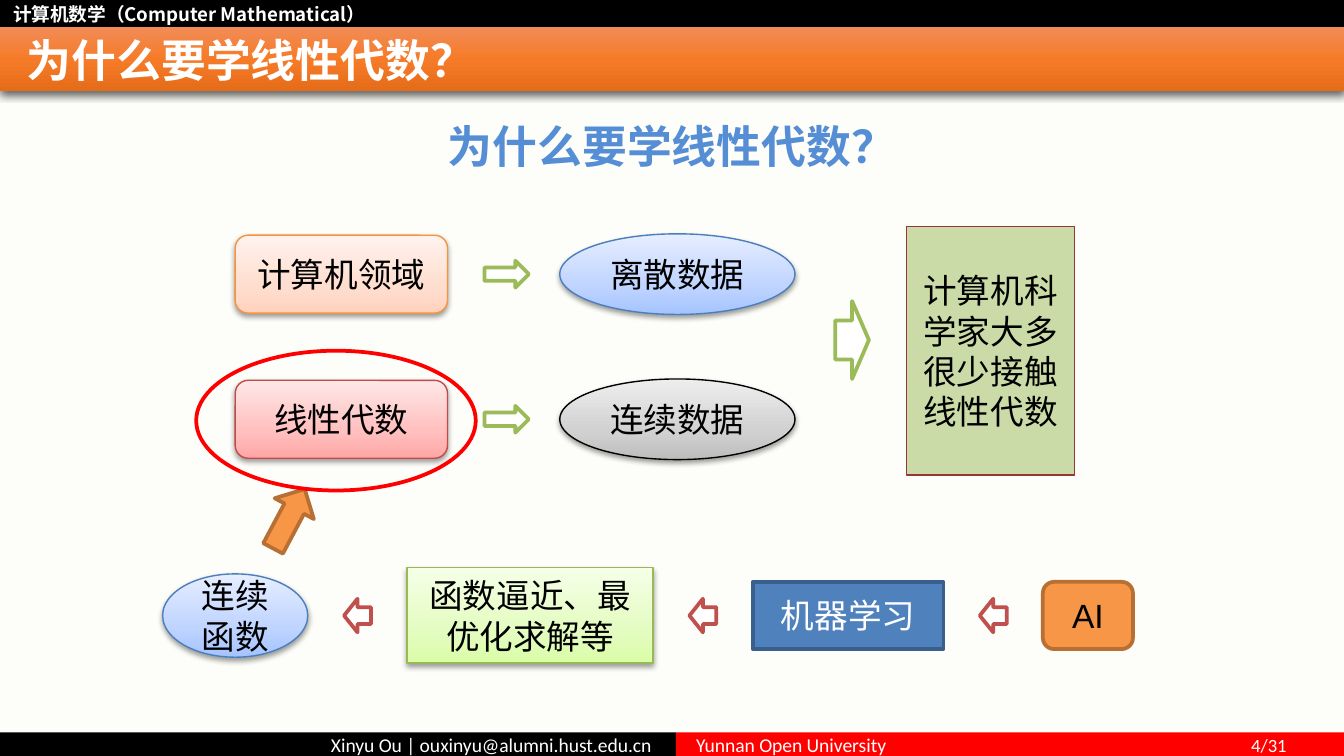
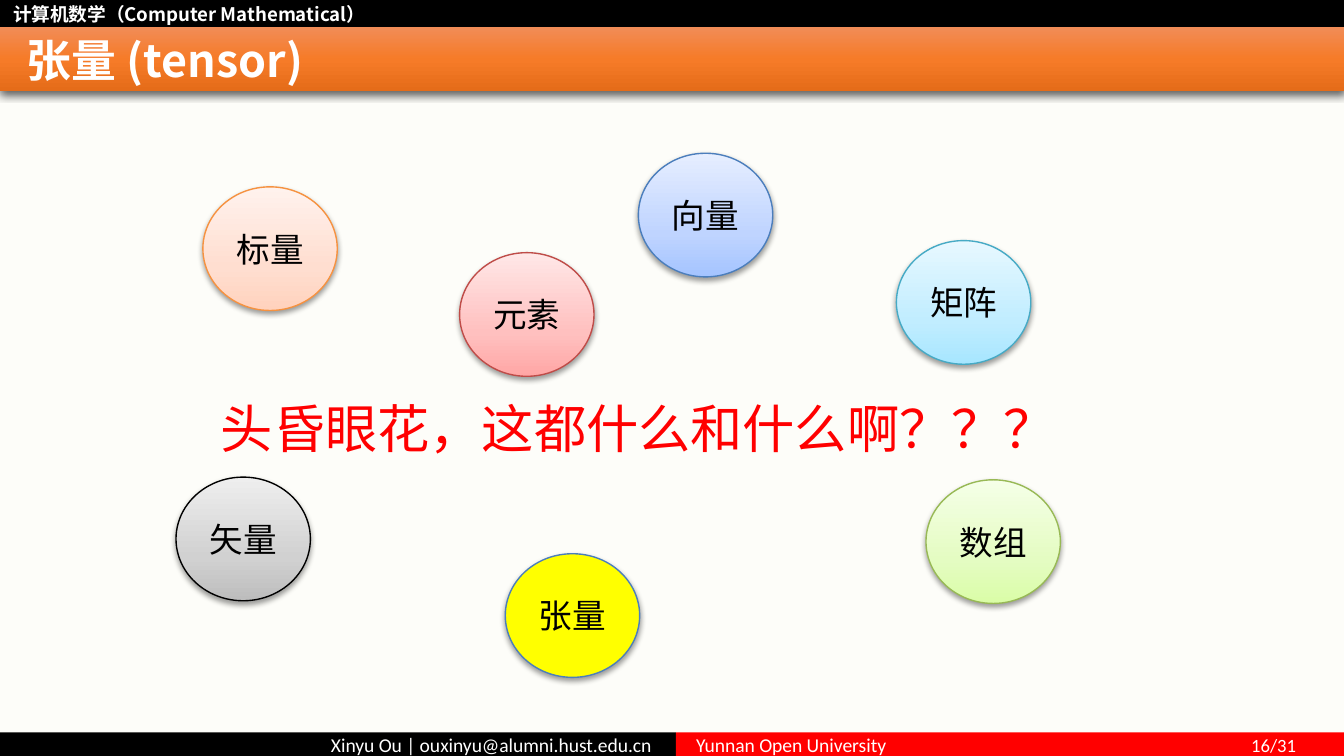
from pptx import Presentation
from pptx.dml.color import RGBColor
from pptx.enum.shapes import MSO_SHAPE
from pptx.enum.text import MSO_ANCHOR, MSO_AUTO_SIZE, PP_ALIGN
from pptx.oxml import parse_xml
from pptx.oxml.ns import nsdecls, qn
from pptx.util import Inches, Pt
from lxml.etree import SubElement

WIDTH = 10
HEIGHT = WIDTH * 9 / 16
HEADING_FONT, BODY_FONT, FOOTER_FONT = "Noto Sans CJK SC", "Arial", "Calibri"
BLACK, WHITE, RED, PAPER = "000000", "FFFFFF", "FF0000", "FDFDF9"
SUBTITLE_BLUE, GREEN, BRICK = "558ED5", "9BBB59", "C0504D"
BANNER = [(0, "F18C57"), (50, "F67B28"), (100, "E56C19")]
SOFT_SHADOW, BANNER_SHADOW = (38, 3.1, 1.6), (63, 4.5, 1.5)
FOOTER_TOP, FOOTER_HEIGHT, FOOTER_SPLIT, PAGE_TAB = 5.45, 0.18, 5.03, 4.13


def soft(*colours):
    return list(zip((0, 35, 100), colours))


STYLES = {
    "orange": (soft("FFD2BD", "FFDED0", "FFF2ED"), "F69240", 0.75, SOFT_SHADOW),
    "blue": (soft("A4C4FF", "BFD4FF", "E6EEFF"), "4B7EBC", 0.75, SOFT_SHADOW),
    "red": (soft("FFA6A5", "FFC0BF", "FFE7E7"), "BF4C48", 0.75, SOFT_SHADOW),
    "grey": (soft("BDBDBD", "D1D1D1", "EEEEEE"), BLACK, 0.75, SOFT_SHADOW),
    "lime": (soft("DAFDA7", "E4FCC2", "F5FFE7"), "98B955", 0.75, SOFT_SHADOW),
    "cyan": (soft("A7E6FF", "C1EDFF", "E7F8FF"), "46AAC5", 0.75, SOFT_SHADOW),
    "yellow": ("FFFF00", "4B7EBC", 0.75, SOFT_SHADOW),
    "solid orange": ("F79646", "B76F34", 2, None),
    "solid blue": ("4F81BD", "3A5F8C", 2, None),
    "pale green": (GREEN, "953735", 0.75, None),
    "green outline": (WHITE, GREEN, 2, None),
    "brick outline": (WHITE, BRICK, 2, None),
    "ring": (None, RED, 2, None),
}

COURSE = "计算机数学（Computer Mathematical）"
AUTHOR = "Xinyu Ou | ouxinyu@alumni.hust.edu.cn"
SCHOOL = "Yunnan Open University"
SLIDES = [("为什么要学线性代数？", "4/31"), ("张量 (tensor)", "16/31")]
SUBTITLE = "为什么要学线性代数？"

FIELD_COLUMN, ARROW_COLUMN, DATA_COLUMN = 2.54, 3.77, 5.04
REASON_ROWS = [
    (2.04, "计算机领域", "orange", "离散数据", "blue"),
    (3.12, "线性代数", "red", "连续数据", "grey"),
]
CONCLUSION = "计算机科学家大多很少接触线性代数"

CHAIN_LEFT, CHAIN_GAP, CHAIN_ROW = 1.21, 0.74, 4.58
CHAIN = [
    ("连续函数", MSO_SHAPE.OVAL, 1.08, 0.62, "blue", BLACK),
    ("函数逼近、最优化求解等", MSO_SHAPE.RECTANGLE, 1.83, 0.71, "lime", BLACK),
    ("机器学习", MSO_SHAPE.RECTANGLE, 1.42, 0.5, "solid blue", WHITE),
    ("AI", MSO_SHAPE.ROUNDED_RECTANGLE, 0.67, 0.5, "solid orange", BLACK),
]

QUESTION = "头昏眼花，这都什么和什么啊？？？"
CONCEPTS = [
    ("标量", 2.01, 1.85, "orange"),
    ("向量", 5.25, 1.6, "blue"),
    ("张量", 4.26, 4.58, "yellow"),
    ("矩阵", 7.17, 2.25, "cyan"),
    ("矢量", 1.81, 4.01, "grey"),
    ("数组", 7.39, 4.03, "lime"),
    ("元素", 3.92, 2.34, "red"),
]


def colour(value):
    return RGBColor.from_string(value)


def place(shape, left, top, width, height):
    shape.left, shape.top = Inches(left), Inches(top)
    shape.width, shape.height = Inches(width), Inches(height)


def format_run(run, size, font, ink, bold=False):
    run.font.size, run.font.name, run.font.bold = Pt(size), font, bold
    run.font.color.rgb = colour(ink)
    SubElement(run.font._element, qn("a:ea")).set("typeface", HEADING_FONT)


def write(shape, text, size, font=BODY_FONT, ink=BLACK, bold=False,
          align=PP_ALIGN.LEFT, anchor=MSO_ANCHOR.MIDDLE, insets=None, wrap=True):
    frame = shape.text_frame
    frame.text = text
    frame.word_wrap, frame.vertical_anchor = wrap, anchor
    frame.auto_size = MSO_AUTO_SIZE.NONE
    if insets:
        (frame.margin_left, frame.margin_top,
         frame.margin_right, frame.margin_bottom) = map(Inches, insets)
    paragraph = frame.paragraphs[0]
    paragraph.alignment = align
    format_run(paragraph.runs[0], size, font, ink, bold)
    return paragraph


def paint(shape, fill, angle=90):
    if fill is None:
        shape.fill.background()
    elif isinstance(fill, str):
        shape.fill.solid()
        shape.fill.fore_color.rgb = colour(fill)
    else:
        shape.fill.gradient()
        shape.fill.gradient_angle = angle
        stops = shape.element.spPr.find(".//" + qn("a:gsLst"))
        for stop in list(stops):
            stops.remove(stop)
        for position, value in fill:
            stop = SubElement(stops, qn("a:gs"), pos=str(position * 1000))
            SubElement(stop, qn("a:srgbClr"), val=value)


def cast_shadow(shape, shadow):
    shape.shadow.inherit = False
    if shadow:
        alpha, blur, distance = shadow
        effects = shape.element.spPr.find(qn("a:effectLst"))
        effects.append(parse_xml(
            f'<a:outerShdw {nsdecls("a")} blurRad="{Pt(blur)}" dist="{Pt(distance)}" '
            f'dir="5400000" rotWithShape="0"><a:srgbClr val="{BLACK}">'
            f'<a:alpha val="{alpha * 1000}"/></a:srgbClr></a:outerShdw>'))


def add_band(slide, left, top, width, height, fill, shadow=None):
    band = slide.shapes.add_shape(
        MSO_SHAPE.RECTANGLE, *map(Inches, (left, top, width, height)))
    paint(band, fill, angle=270)
    band.line.fill.background()
    cast_shadow(band, shadow)
    return band


def add_node(slide, kind, middle_x, middle_y, width, height, style,
             text=None, ink=BLACK, rotation=0):
    fill, line, line_width, shadow = STYLES[style]
    node = slide.shapes.add_shape(kind, *map(Inches, (
        middle_x - width / 2, middle_y - height / 2, width, height)))
    paint(node, fill)
    node.line.color.rgb = colour(line)
    node.line.width = Pt(line_width)
    node.rotation = rotation
    cast_shadow(node, shadow)
    if text:
        write(node, text, 18, ink=ink, align=PP_ALIGN.CENTER)
    return node


def build_layout(layout, slide):
    for placeholder in list(layout.placeholders):
        if placeholder.placeholder_format.idx >= 10:
            layout.shapes.element.remove(placeholder.element)
    paper = add_band(slide, 0, 0, WIDTH, HEIGHT, PAPER)
    top_band = add_band(slide, 0, 0, WIDTH, 0.2, BLACK)
    author = add_band(slide, 0, FOOTER_TOP, FOOTER_SPLIT, FOOTER_HEIGHT, BLACK)
    write(author, AUTHOR, 10.5, FOOTER_FONT, WHITE, align=PP_ALIGN.RIGHT,
          insets=(0.15, 0.04, 0.18, 0.04))
    course = slide.shapes.add_textbox(*map(Inches, (0, 0.02, WIDTH, 0.17)))
    write(course, COURSE, 10, HEADING_FONT, WHITE, True, anchor=MSO_ANCHOR.TOP,
          insets=(0.1, 0, 0.1, 0))
    banner = add_band(slide, 0, 0.2, WIDTH, 0.48, BANNER, BANNER_SHADOW)
    for shape in (paper, top_band, author, course, banner):
        layout.shapes.element.append(shape.element)


def add_heading(slide, title, page):
    place(slide.shapes.title, 0, 0.24, WIDTH, 0.4)
    write(slide.shapes.title, title, 24, HEADING_FONT, WHITE, True,
          insets=(0.2, 0, 0, 0))
    school = add_band(slide, FOOTER_SPLIT, FOOTER_TOP, WIDTH - FOOTER_SPLIT,
                      FOOTER_HEIGHT, RED)
    paragraph = write(school, SCHOOL + "\t", 10.5, FOOTER_FONT, WHITE,
                      anchor=MSO_ANCHOR.TOP, insets=(0.15, 0, 0.15, 0))
    number = paragraph.add_run()
    number.text = page
    format_run(number, 10, FOOTER_FONT, WHITE)
    tabs = SubElement(paragraph._p.get_or_add_pPr(), qn("a:tabLst"))
    SubElement(tabs, qn("a:tab"), pos=str(Inches(PAGE_TAB)), algn="l")


def build_reasons(slide):
    subtitle = slide.placeholders[1]
    place(subtitle, 0, 0.88, WIDTH, 0.4)
    paragraph = write(subtitle, SUBTITLE, 24, HEADING_FONT, SUBTITLE_BLUE, True,
                      PP_ALIGN.CENTER, MSO_ANCHOR.TOP, (0.28, 0, 0.28, 0))
    paragraph.space_before = Pt(0)
    properties = paragraph._p.get_or_add_pPr()
    properties.set("marL", "0")
    properties.set("indent", "0")
    SubElement(properties, qn("a:buNone"))

    arrow = MSO_SHAPE.RIGHT_ARROW
    for row, field, field_style, data, data_style in REASON_ROWS:
        add_node(slide, MSO_SHAPE.ROUNDED_RECTANGLE, FIELD_COLUMN, row,
                 1.58, 0.58, field_style, field)
        add_node(slide, MSO_SHAPE.OVAL, DATA_COLUMN, row, 1.75, 0.6, data_style, data)
        add_node(slide, arrow, ARROW_COLUMN, row, 0.33, 0.2, "green outline")
    add_node(slide, arrow, 6.34, 2.53, 0.25, 0.58, "green outline")
    conclusion = add_node(slide, MSO_SHAPE.RECTANGLE, 7.37, 2.61, 1.25, 1.85,
                          "pale green", CONCLUSION)
    tint = conclusion.element.spPr.find(qn("a:solidFill"))[0]
    SubElement(tint, qn("a:alpha"), val="50000")

    left = CHAIN_LEFT
    for index, (text, kind, width, height, style, ink) in enumerate(CHAIN):
        if index:
            add_node(slide, arrow, left - CHAIN_GAP / 2, CHAIN_ROW, 0.2, 0.25,
                     "brick outline", rotation=180)
        add_node(slide, kind, left + width / 2, CHAIN_ROW, width, height,
                 style, text, ink)
        left += width + CHAIN_GAP
    add_node(slide, arrow, 2.15, 3.86, 0.5, 0.33, "solid orange", rotation=298)
    add_node(slide, MSO_SHAPE.OVAL, 2.5, 3.13, 2.08, 1.04, "ring")


def build_concepts(slide):
    body = slide.placeholders[1].element
    body.getparent().remove(body)
    for text, middle_x, middle_y, style in CONCEPTS:
        add_node(slide, MSO_SHAPE.OVAL, middle_x, middle_y, 1, 0.92, style, text)
    question = slide.shapes.add_textbox(*map(Inches, (1.51, 2.9, 6.48, 0.57)))
    write(question, QUESTION, 28, ink=RED, align=PP_ALIGN.CENTER,
          anchor=MSO_ANCHOR.TOP, wrap=False)


presentation = Presentation()
presentation.slide_width, presentation.slide_height = Inches(WIDTH), Inches(HEIGHT)
layout = presentation.slide_layouts[1]
slides = [presentation.slides.add_slide(layout) for _ in SLIDES]
build_layout(layout, slides[0])
for slide, (title, page) in zip(slides, SLIDES):
    add_heading(slide, title, page)
build_reasons(slides[0])
build_concepts(slides[1])
presentation.save("out.pptx")
